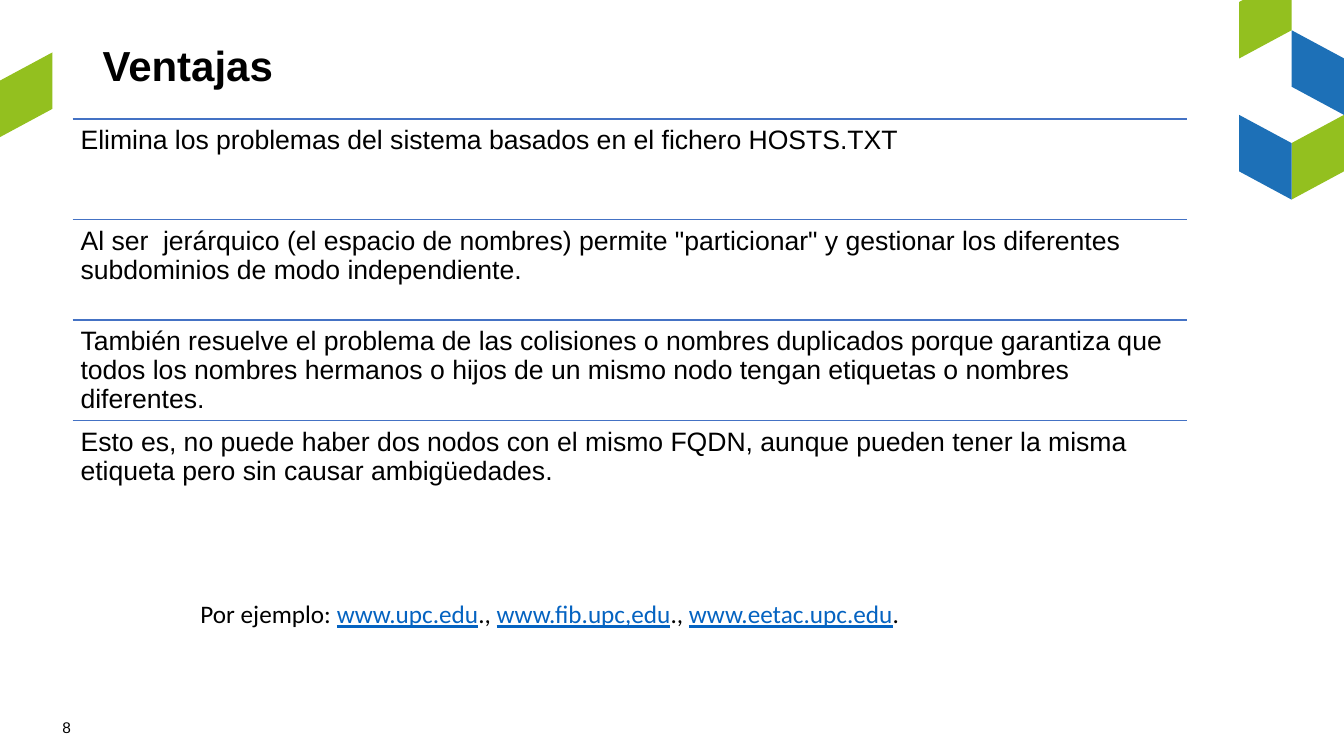
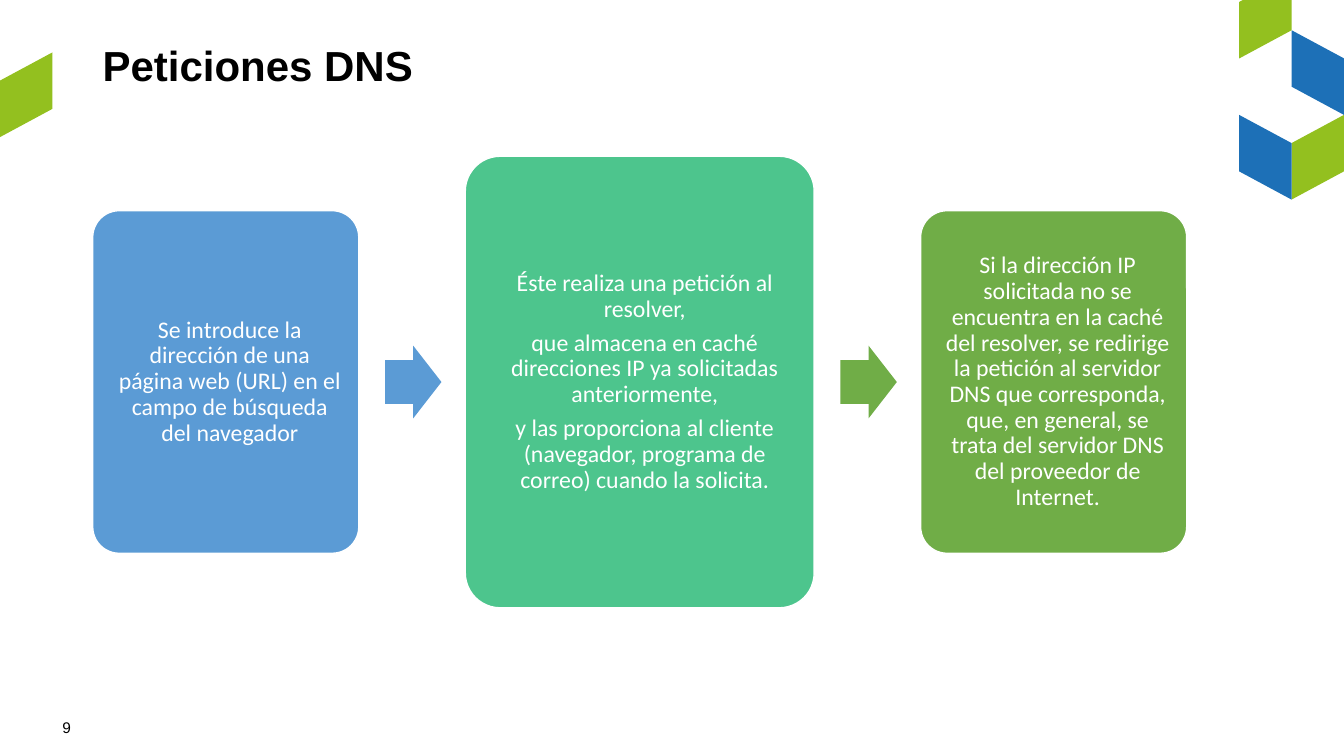
"""Build two slides on the advantages and the requests of DNS."""
from dataclasses import dataclass

from lxml.etree import SubElement
from pptx import Presentation
from pptx.dml.color import RGBColor as Rgb
from pptx.enum.shapes import MSO_CONNECTOR as Connector, MSO_SHAPE as Preset
from pptx.enum.text import MSO_ANCHOR as Anchor, PP_ALIGN as Align
from pptx.oxml.ns import qn
from pptx.util import Inches, Pt

WIDTH, HEIGHT = Inches(13.33), Inches(7.5)


@dataclass(frozen=True)
class Theme:
    """Colours, fonts and type sizes of the deck."""
    black: Rgb = Rgb.from_string("000000")
    white: Rgb = Rgb.from_string("FFFFFF")
    lime: Rgb = Rgb.from_string("93C01F")
    navy: Rgb = Rgb.from_string("1D70B7")
    rule: Rgb = Rgb.from_string("4472C4")
    link: Rgb = Rgb.from_string("0563C1")
    sky: Rgb = Rgb.from_string("5B9BD5")
    mint: Rgb = Rgb.from_string("4DC58D")
    leaf: Rgb = Rgb.from_string("70AD47")
    heading_font: str = "Arial"
    body_font: str = "Calibri"
    title: int = 30
    row: int = 19
    example: int = 18
    card: int = 17
    number: int = 11


THEME = Theme()

ADVANTAGES = (
    "Elimina los problemas del sistema basados en el fichero HOSTS.TXT",
    "Al ser  jerárquico (el espacio de nombres) permite \"particionar\" y "
    "gestionar los diferentes subdominios de modo independiente.",
    "También resuelve el problema de las colisiones o nombres duplicados "
    "porque garantiza que todos los nombres hermanos o hijos de un mismo nodo "
    "tengan etiquetas o nombres diferentes.",
    "Esto es, no puede haber dos nodos con el mismo FQDN, aunque pueden tener "
    "la misma etiqueta pero sin causar ambigüedades.",
)

EXAMPLE = ("Por ejemplo: ", "www.upc.edu", "., ", "www.fib.upc,edu", "., ",
           "www.eetac.upc.edu", ".")

SIDE_CARD, MIDDLE_CARD = (19.8, 45.33, 10.8), (25.96, 59.73, 12.24)

STEPS = (
    (SIDE_CARD, THEME.sky,
     "Se introduce la dirección de una página web (URL) en el campo de "
     "búsqueda del navegador"),
    (MIDDLE_CARD, THEME.mint,
     "Éste realiza una petición al resolver,\n"
     "que almacena en caché direcciones IP ya solicitadas anteriormente,\n"
     "y las proporciona al cliente (navegador, programa de correo) cuando la "
     "solicita."),
    (SIDE_CARD, THEME.leaf,
     "Si la dirección IP solicitada no se encuentra en la caché del resolver, "
     "se redirige la petición al servidor DNS que corresponda, que, en "
     "general, se trata del servidor DNS del proveedor de Internet."),
)

ARROW_COLORS = (THEME.sky, THEME.leaf)


def across(percent):
    """Return a share of the slide width."""
    return round(WIDTH * percent / 100)


def down(percent):
    """Return a share of the slide height."""
    return round(HEIGHT * percent / 100)


def place(left, top, width, height):
    """Turn slide shares into a position and a size."""
    return across(left), down(top), across(width), down(height)


def style_font(font, size, family, color=THEME.black, bold=False):
    """Apply size, family, colour and weight to a font."""
    font.size, font.name, font.bold = Pt(size), family, bold
    font.color.rgb = color


def style_paragraphs(frame, size, family, color=THEME.black, bold=False,
                     line=None, after=None, align=None):
    """Format every paragraph and run of a text frame."""
    for paragraph in frame.paragraphs:
        paragraph.alignment = align
        paragraph.line_spacing = line
        paragraph.space_after = after
        for run in paragraph.runs:
            style_font(run.font, size, family, color, bold)


def add_text(slide, area, text, size, inset=None, **style):
    """Add a wrapped text box in the heading font."""
    frame = slide.shapes.add_textbox(*place(*area)).text_frame
    frame.word_wrap = True
    if inset is not None:
        frame.margin_left = frame.margin_right = inset
        frame.margin_top = frame.margin_bottom = inset
    frame.text = text
    style_paragraphs(frame, size, THEME.heading_font, **style)


def paint(shape, fill, outline=None):
    """Fill a shape, outline it if asked, and drop its shadow."""
    shape.shadow.inherit = False
    shape.fill.solid()
    shape.fill.fore_color.rgb = fill
    if outline is None:
        shape.line.fill.background()
    else:
        shape.line.color.rgb = outline
        shape.line.width = Pt(1)


def add_tile(slide, left, top, slope, color):
    """Add a slanted tile; slope -1 rises and 1 falls to the right."""
    width, rise, height = 3.9, 3.73, 7.47
    right, far_top = left + width, top + slope * rise
    corners = ((left, top), (right, far_top),
               (right, far_top + height), (left, top + height))
    start, *others = [(across(x), down(y)) for x, y in corners]
    outline = slide.shapes.build_freeform(*start)
    outline.add_line_segments(others, close=True)
    paint(outline.convert_to_shape(), color)


def add_rule(slide, left, top, width):
    """Add a thin horizontal rule."""
    rule = slide.shapes.add_connector(
        Connector.STRAIGHT, across(left), down(top),
        across(left + width), down(top))
    rule.line.color.rgb = THEME.rule
    rule.line.width = Pt(1)
    SubElement(rule._element.spPr, qn("a:effectLst"))


def add_card(slide, area, color, text, inset):
    """Add a rounded card with centred white text."""
    card = slide.shapes.add_shape(Preset.ROUNDED_RECTANGLE, *place(*area))
    card.adjustments[0] = 0.1
    paint(card, color, THEME.white)
    frame = card.text_frame
    frame.word_wrap = True
    frame.vertical_anchor = Anchor.MIDDLE
    frame.margin_left = frame.margin_top = frame.margin_bottom = Pt(inset)
    frame.margin_right = Pt(5)
    frame.text = text
    style_paragraphs(frame, THEME.card, THEME.body_font, THEME.white,
                     line=0.9, after=Pt(6), align=Align.CENTER)


def add_arrow(slide, area, color):
    """Add a block arrow pointing right."""
    arrow = slide.shapes.add_shape(Preset.RIGHT_ARROW, *place(*area))
    arrow.adjustments[0], arrow.adjustments[1] = 0.6, 0.5
    paint(arrow, color)


def add_example(slide):
    """Add the example line with its underlined addresses."""
    frame = slide.shapes.add_textbox(
        *place(10.43, 78.53, 82.52, 5.33)).text_frame
    frame.word_wrap = True
    paragraph = frame.paragraphs[0]
    paragraph._p.get_or_add_pPr().set("marL", str(Inches(0.5)))
    for part in EXAMPLE:
        run = paragraph.add_run()
        run.text = part
        address = part.startswith("www")
        style_font(run.font, THEME.example, THEME.body_font,
                   THEME.link if address else THEME.black)
        run.font.underline = address


def add_page(deck, title, number):
    """Add a blank slide with the shared tiles, title and number."""
    slide = deck.slides.add_slide(deck.slide_layouts[6])
    for left, top, slope, color in (
            (0, 10.67, -1, THEME.lime), (96.1, 18.93, -1, THEME.lime),
            (92.2, 15.2, 1, THEME.navy), (96.1, 4, 1, THEME.navy),
            (92.2, 0.27, -1, THEME.lime)):
        add_tile(slide, left, top, slope, color)
    add_text(slide, (6.9, 5.33, 81.47, 11.87), title, THEME.title,
             bold=True, line=0.9)
    add_text(slide, (3.9, 94.27, 5.63, 5.33), str(number), THEME.number)
    return slide


def add_advantages(slide):
    """Stack the advantages in equal ruled rows."""
    left, first, width, pitch = 5.4, 15.73, 82.9, 13.29
    for index, advantage in enumerate(ADVANTAGES):
        top = first + index * pitch
        add_rule(slide, left, top, width)
        add_text(slide, (left, top, width, pitch), advantage, THEME.row,
                 inset=Inches(0.08), line=0.9, after=Pt(6.7))


def add_steps(slide):
    """Lay the request steps along one axis with arrows between them."""
    left, axis, gap = 6.9, 50.53, 7.92
    arrow_width, arrow_height, arrow_offset = 4.2, 9.6, 1.95
    for index, ((width, height, inset), color, text) in enumerate(STEPS):
        if index:
            add_arrow(slide, (left - gap + arrow_offset,
                              axis - arrow_height / 2,
                              arrow_width, arrow_height),
                      ARROW_COLORS[index - 1])
        add_card(slide, (left, axis - height / 2, width, height),
                 color, text, inset)
        left += width + gap


def main():
    """Build and save the deck."""
    deck = Presentation()
    deck.slide_width, deck.slide_height = WIDTH, HEIGHT
    advantages = add_page(deck, "Ventajas", 8)
    add_advantages(advantages)
    add_example(advantages)
    add_steps(add_page(deck, "Peticiones DNS", 9))
    deck.save("out.pptx")


if __name__ == "__main__":
    main()
